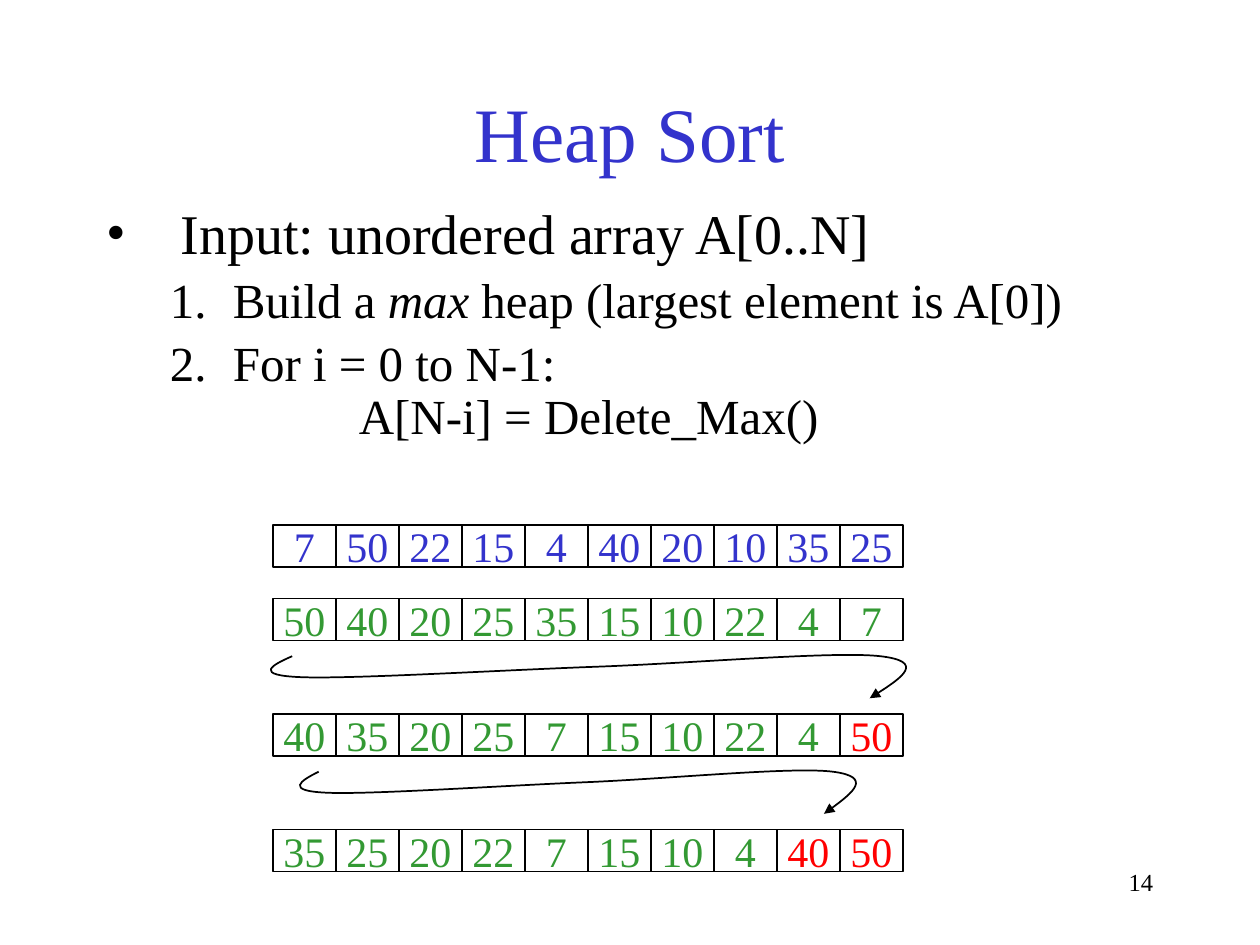
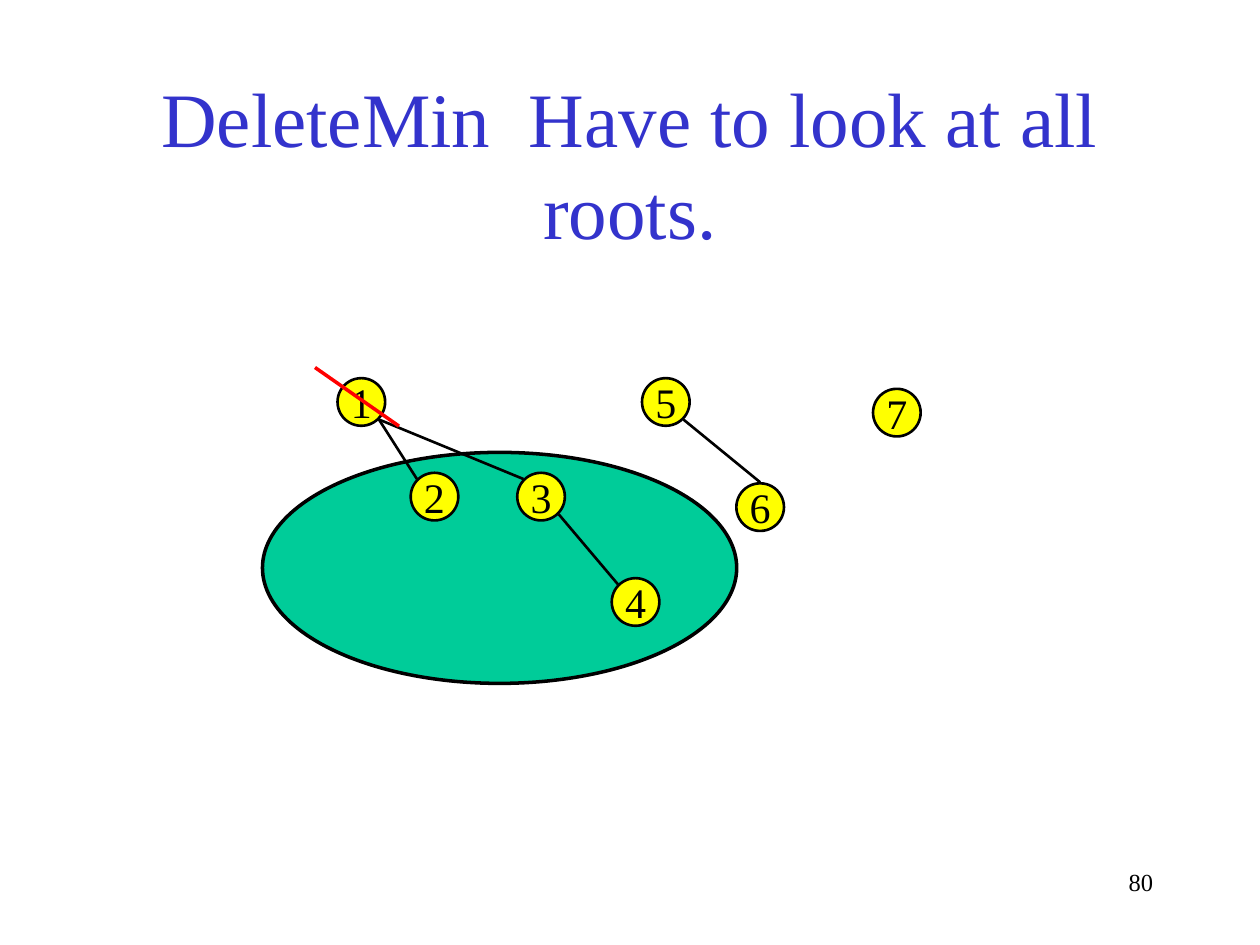
"""Build two slides on heap sort and on deleting the minimum from a forest of heaps."""
import math

import lxml.etree
import pptx
import pptx.dml.color
import pptx.enum.shapes
import pptx.enum.text
import pptx.oxml.ns
import pptx.util

Pt = pptx.util.Pt
SHAPE = pptx.enum.shapes.MSO_SHAPE
ALIGN = pptx.enum.text.PP_ALIGN
ANCHOR = pptx.enum.text.MSO_ANCHOR

COLORS = {
    "black": "000000",
    "title": "3333CC",
    "heap": "339933",
    "red": "FF0000",
    "node": "FFFF00",
    "group": "00CC99",
}
FONT = "Times New Roman"
TITLE_ONLY = 5
TAB_SIZE = 72

CELL_LEFT, CELL_WIDTH, CELL_HEIGHT = 156, 36, 24
INPUT_TOP = 300
HEAP_TOP, HEAP_STEP = 342, 66
INPUT_ARRAY = [7, 50, 22, 15, 4, 40, 20, 10, 35, 25]
HEAP_ARRAYS = [
    [50, 40, 20, 25, 35, 15, 10, 22, 4, 7],
    [40, 35, 20, 25, 7, 15, 10, 22, 4, 50],
    [35, 25, 20, 22, 7, 15, 10, 4, 40, 50],
]
SWAP_CURVE = [
    (167, 375), (155.5, 380), (144, 386), (173, 387), (202, 388), (286, 383),
    (341, 381), (396, 379), (477, 372), (503, 375), (529, 378), (513, 389), (497, 399),
]
SWAP_LEFT = 144
SECOND_SWAP_LEFT, SECOND_SWAP_SCALE = 162, 0.875

BODY = [
    ("•", [("Input: unordered array A[0..N]", False)]),
    ("1.", [("Build a ", False), ("max", True), (" heap (largest element is A[0])", False)]),
    ("1.", [("For i = 0 to N-1:", False), None, ("\tA[N-i] = Delete_Max()", False)]),
]
BODY_STYLES = {
    "•": {"level": 0, "size": 32, "margin": 42, "indent": -42},
    "1.": {"level": 1, "size": 28, "margin": 72, "indent": -36},
}

NODE_SIZE = 27.2
EDGE_RADIUS = 14.2
NODE_CENTERS = {
    1: (206.5, 229.7), 2: (248.3, 283.8), 3: (309.2, 283.8), 4: (363.2, 344),
    5: (380.5, 229.7), 6: (434.4, 289.8), 7: (512.5, 235.8),
}
LOWER_RIGHT, UPPER_LEFT, TOP = 45, 225, 270
EDGES = [(1, 2, UPPER_LEFT), (1, 3, UPPER_LEFT), (3, 4, UPPER_LEFT), (5, 6, TOP)]


def color(name):
    """Return the named colour."""
    return pptx.dml.color.RGBColor.from_string(COLORS[name])


def apply_format(target, **values):
    """Set each given attribute on the target."""
    for name, value in values.items():
        setattr(target, name, value)


def add_element(parent, tag, **attributes):
    """Append a drawing element with its attributes."""
    return lxml.etree.SubElement(parent, pptx.oxml.ns.qn(tag), attributes)


def add_span(para, text, size, color_name="black", italic=False):
    """Add formatted text to a paragraph."""
    span = para.add_run()
    span.text = text
    apply_format(span.font, name=FONT, size=Pt(size), italic=italic)
    span.font.color.rgb = color(color_name)


def set_line(shape, color_name, width):
    """Give a shape or connector a solid line."""
    shape.line.color.rgb = color(color_name)
    shape.line.width = Pt(width)


def add_page(deck, title, title_top, number):
    """Add a slide with its title and page number."""
    page = deck.slides.add_slide(deck.slide_layouts[TITLE_ONLY])
    heading = page.shapes.title
    apply_format(heading, left=Pt(54), top=Pt(title_top), width=Pt(612), height=Pt(90))
    apply_format(heading.text_frame, vertical_anchor=ANCHOR.MIDDLE, word_wrap=True,
                 auto_size=pptx.enum.text.MSO_AUTO_SIZE.NONE)
    para = heading.text_frame.paragraphs[0]
    para.alignment = ALIGN.CENTER
    add_span(para, title, 44, "title")

    box = page.shapes.add_textbox(Pt(516), Pt(492), Pt(150), Pt(36))
    box.text_frame.word_wrap = True
    para = box.text_frame.paragraphs[0]
    para.alignment = ALIGN.RIGHT
    add_span(para, str(number), 14)
    return page


def add_shape(page, kind, left, top, width, height, line_width, fill=None, text=None,
              text_color="black"):
    """Add an outlined shape with an optional fill and centred label."""
    shape = page.shapes.add_shape(kind, Pt(left), Pt(top), Pt(width), Pt(height))
    shape.shadow.inherit = False
    set_line(shape, "black", line_width)
    if fill:
        shape.fill.solid()
        shape.fill.fore_color.rgb = color(fill)
    else:
        shape.fill.background()
    if text is not None:
        apply_format(shape.text_frame, vertical_anchor=ANCHOR.MIDDLE, word_wrap=False)
        para = shape.text_frame.paragraphs[0]
        para.alignment = ALIGN.CENTER
        add_span(para, str(text), 24, text_color)


def add_line(page, start, end, color_name, width):
    """Add a straight line between two points."""
    line = page.shapes.add_connector(
        pptx.enum.shapes.MSO_CONNECTOR.STRAIGHT, *map(Pt, start + end))
    set_line(line, color_name, width)
    add_element(line._element.spPr, "a:effectLst")


def set_bullet(para, bullet, margin, indent):
    """Give a paragraph a hanging bullet or automatic number."""
    properties = para._p.get_or_add_pPr()
    for name, length in (("marL", margin), ("indent", indent), ("defTabSz", TAB_SIZE)):
        properties.set(name, str(Pt(length)))
    add_element(properties, "a:buFont", typeface=FONT)
    if bullet == "1.":
        add_element(properties, "a:buAutoNum", type="arabicPeriod")
    else:
        add_element(properties, "a:buChar", char=bullet)


def add_body(page):
    """Add the outline of the algorithm."""
    box = page.shapes.add_textbox(Pt(54), Pt(114), Pt(612), Pt(156))
    frame = box.text_frame
    frame.word_wrap = True
    for index, (bullet, parts) in enumerate(BODY):
        para = frame.add_paragraph() if index else frame.paragraphs[0]
        style = BODY_STYLES[bullet]
        apply_format(para, level=style["level"], line_spacing=0.9,
                     space_before=Pt(0.2 * style["size"]))
        set_bullet(para, bullet, style["margin"], style["indent"])
        for part in parts:
            if part is None:
                para.add_line_break()
            else:
                text, italic = part
                add_span(para, text, style["size"], italic=italic)


def add_array(page, values, top, color_name, sorted_count=0):
    """Add a row of cells, with the sorted tail in red."""
    for index, value in enumerate(values):
        is_sorted = index >= len(values) - sorted_count
        add_shape(page, SHAPE.RECTANGLE, CELL_LEFT + index * CELL_WIDTH, top,
                  CELL_WIDTH, CELL_HEIGHT, 1, text=value,
                  text_color="red" if is_sorted else color_name)


def bend_segments(shape):
    """Turn each three straight segments into one cubic curve."""
    outline = shape._element.spPr.find(".//" + pptx.oxml.ns.qn("a:path"))
    segments = outline.findall(pptx.oxml.ns.qn("a:lnTo"))
    for first in range(0, len(segments), 3):
        curve = add_element(outline, "a:cubicBezTo")
        for segment in segments[first:first + 3]:
            curve.append(segment[0])
            outline.remove(segment)


def add_swap_arrow(page, controls):
    """Add a curved arrow from the heap's root to its new place."""
    points = [(Pt(x), Pt(y)) for x, y in controls]
    builder = page.shapes.build_freeform(*points[0])
    builder.add_line_segments(points[1:], close=False)
    arrow = builder.convert_to_shape()
    bend_segments(arrow)
    arrow.shadow.inherit = False
    arrow.fill.background()
    set_line(arrow, "black", 1)
    add_element(arrow.line._get_or_add_ln(), "a:tailEnd", type="triangle")


def node_rim(node, degrees):
    """Return the point on a node's rim at a clockwise angle from the right."""
    x, y = NODE_CENTERS[node]
    angle = math.radians(degrees)
    return x + EDGE_RADIUS * math.cos(angle), y + EDGE_RADIUS * math.sin(angle)


def build_heap_sort(deck):
    """Build the heap sort slide."""
    page = add_page(deck, "Heap Sort", 30, 14)
    add_body(page)
    add_array(page, INPUT_ARRAY, INPUT_TOP, "title")
    for sorted_count, values in enumerate(HEAP_ARRAYS):
        add_array(page, values, HEAP_TOP + sorted_count * HEAP_STEP, "heap", sorted_count)
    add_swap_arrow(page, SWAP_CURVE)
    add_swap_arrow(page, [
        (SECOND_SWAP_LEFT + (x - SWAP_LEFT) * SECOND_SWAP_SCALE, y + HEAP_STEP)
        for x, y in SWAP_CURVE])


def build_delete_min(deck):
    """Build the slide on deleting the smallest root."""
    page = add_page(deck, "DeleteMin  Have to look at all roots.", 48, 80)
    add_shape(page, SHAPE.OVAL, 150, 258.5, 271, 132, 2, fill="group")
    for node, (x, y) in NODE_CENTERS.items():
        add_shape(page, SHAPE.OVAL, x - NODE_SIZE / 2, y - NODE_SIZE / 2,
                  NODE_SIZE, NODE_SIZE, 1.5, fill="node", text=node)
    for parent, child, side in EDGES:
        add_line(page, node_rim(parent, LOWER_RIGHT), node_rim(child, side), "black", 1.5)
    add_line(page, (180, 210), (228, 243.5), "red", 2)


def main():
    """Build and save the deck."""
    deck = pptx.Presentation()
    apply_format(deck, slide_width=Pt(720), slide_height=Pt(540))
    build_heap_sort(deck)
    build_delete_min(deck)
    deck.save("out.pptx")


if __name__ == "__main__":
    main()
